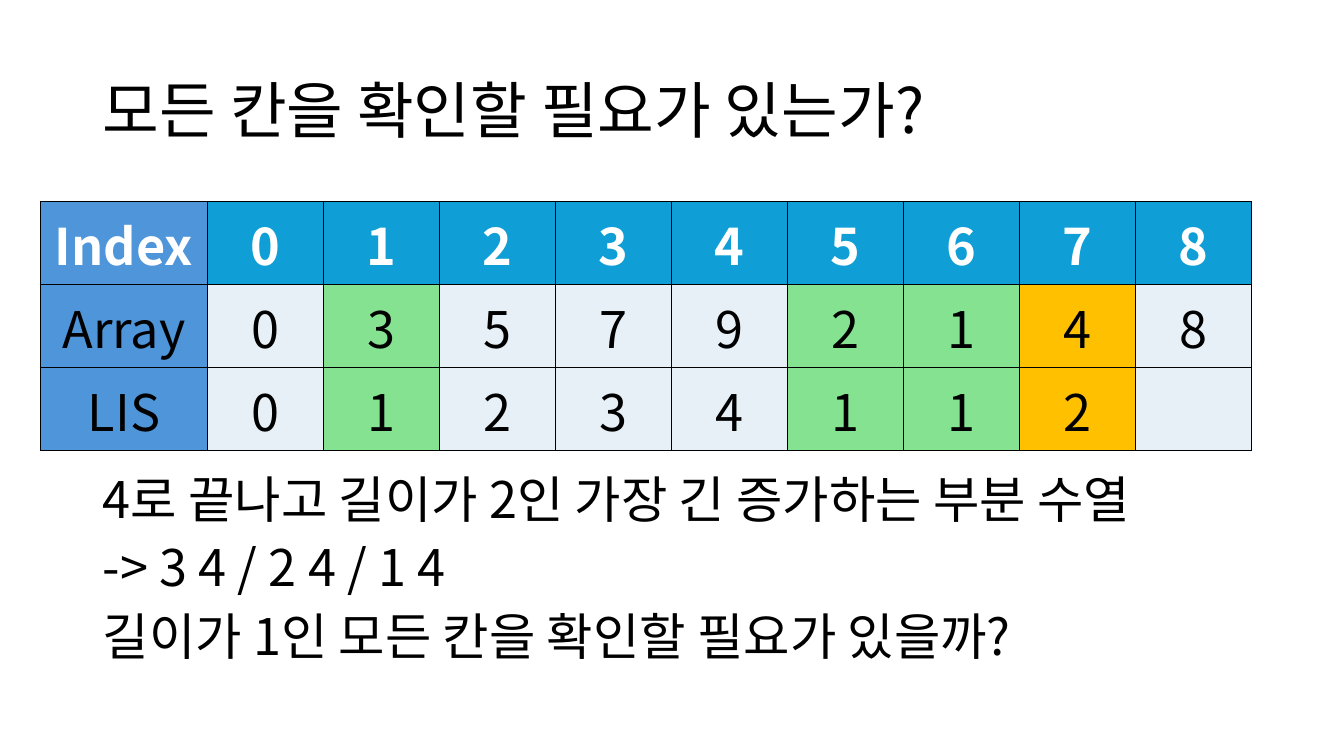
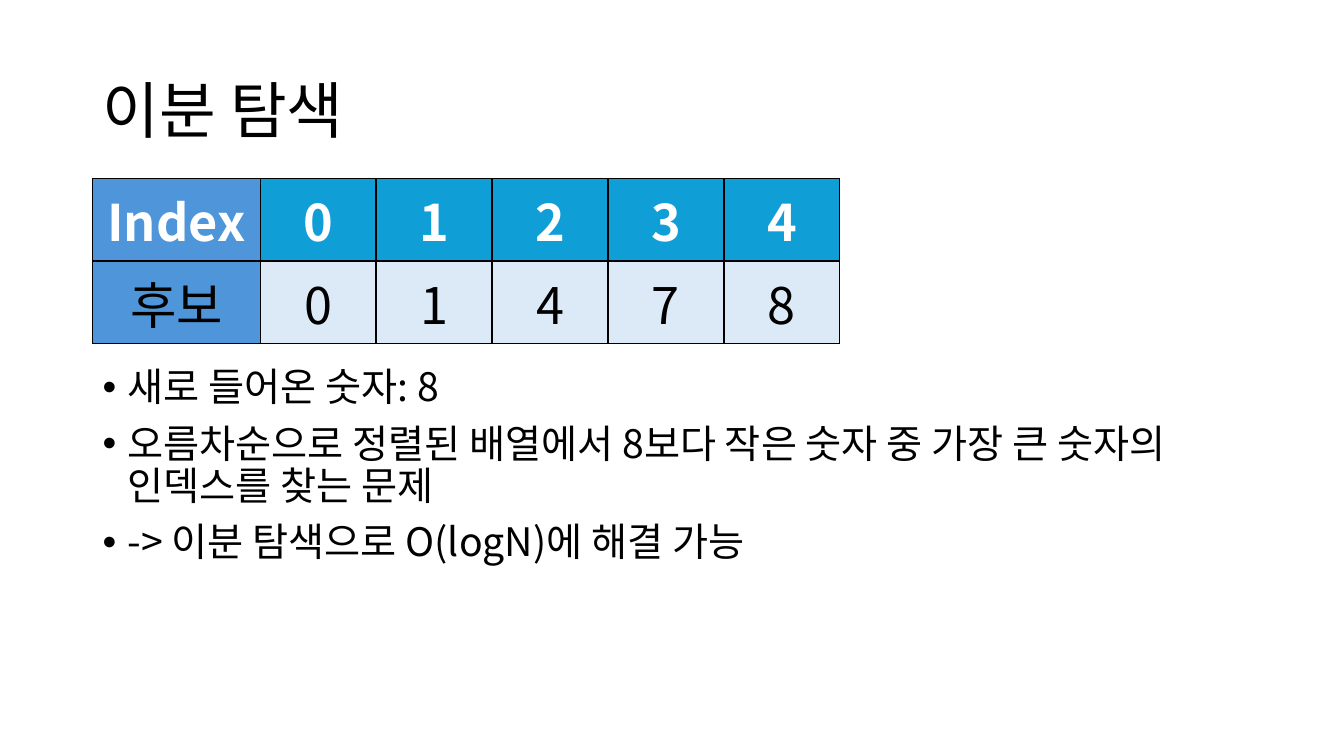
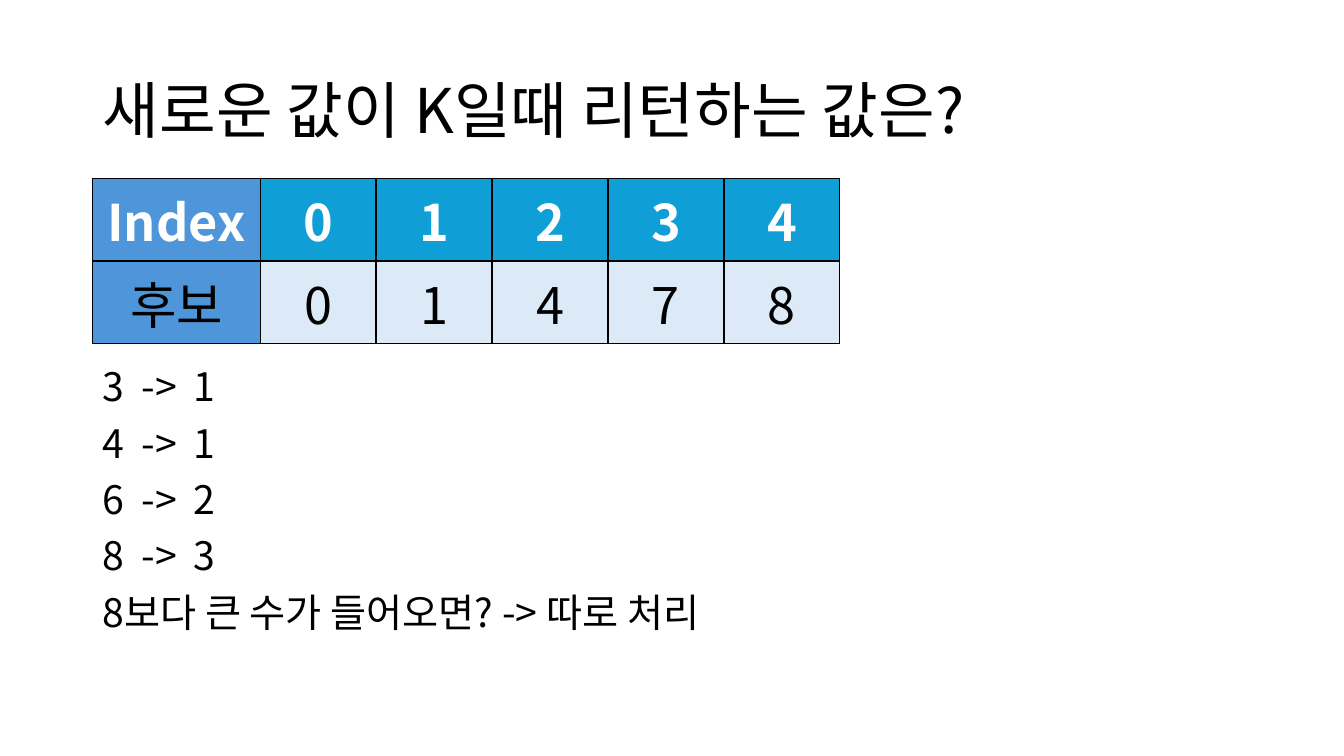
from dataclasses import dataclass

from lxml import etree
from pptx import Presentation
from pptx.dml.color import RGBColor
from pptx.enum.text import MSO_ANCHOR, MSO_AUTO_SIZE, PP_ALIGN
from pptx.oxml.ns import qn
from pptx.util import Inches, Pt

LEFT, CENTER = PP_ALIGN.LEFT, PP_ALIGN.CENTER
TOP, MIDDLE = MSO_ANCHOR.TOP, MSO_ANCHOR.MIDDLE
NO_AUTOFIT = MSO_AUTO_SIZE.NONE
TITLE_ONLY = 5


@dataclass(frozen=True)
class Theme:
    font: str = "Noto Sans CJK KR"
    black: str = "000000"
    white: str = "FFFFFF"
    label: str = "4E95D9"
    header: str = "0F9ED5"
    pale: str = "E7F0F7"
    candidate: str = "DCEAF7"
    green: str = "84E291"
    amber: str = "FFC000"
    title_size: int = 44
    large_size: int = 36
    body_size: int = 28
    line_spacing: float = 0.9
    space_before: int = 10
    border: float = 1
    margin: float = 0.92
    text_width: float = 11.5
    label_width: float = 1.66
    cell_width: float = 1.15
    row_height: float = 0.82


T = Theme()
RESULT_TABS = (0.39, 0.9)


def add_run(p, text, size, color=T.black, bold=False):
    r = p.add_run()
    r.text = text
    r.font.size = Pt(size)
    r.font.bold = bold
    r.font.name = T.font
    r.font.color.rgb = RGBColor.from_string(color)
    etree.SubElement(r._r.get_or_add_rPr(), qn("a:ea"), typeface=T.font)


def add_titled_slide(prs, title):
    s = prs.slides.add_slide(prs.slide_layouts[TITLE_ONLY])
    sp = s.shapes.title
    sp.left, sp.top = Inches(T.margin), Inches(0.4)
    sp.width, sp.height = Inches(T.text_width), Inches(1.45)
    tf = sp.text_frame
    tf.auto_size = NO_AUTOFIT
    tf.vertical_anchor = MIDDLE
    p = tf.paragraphs[0]
    p.alignment = LEFT
    p.line_spacing = T.line_spacing
    add_run(p, title, T.title_size)
    return s


def add_bullet(p):
    pPr = p._p.get_or_add_pPr()
    pPr.set("marL", str(Inches(0.25)))
    pPr.set("indent", str(-Inches(0.25)))
    etree.SubElement(pPr, qn("a:buFont"), typeface="Arial")
    etree.SubElement(pPr, qn("a:buChar"), char="•")


def add_tabs(p, stops):
    tab_list = etree.SubElement(p._p.get_or_add_pPr(), qn("a:tabLst"))
    for stop in stops:
        etree.SubElement(tab_list, qn("a:tab"), pos=str(Inches(stop)), algn="l")


def add_text(s, lines, top, width, height, size, bulleted=False):
    """Add a left-aligned box; lines with tabs use the result columns."""
    sp = s.shapes.add_textbox(Inches(T.margin), Inches(top), Inches(width), Inches(height))
    tf = sp.text_frame
    tf.word_wrap = True
    tf.vertical_anchor = TOP
    for i, line in enumerate(lines):
        p = tf.add_paragraph() if i else tf.paragraphs[0]
        if bulleted:
            add_bullet(p)
        if "\t" in line:
            add_tabs(p, RESULT_TABS)
        p.line_spacing = T.line_spacing
        if i:
            p.space_before = Pt(T.space_before)
        add_run(p, line, size)


def set_borders(cell):
    tcPr = cell._tc.get_or_add_tcPr()
    for i, side in enumerate(("lnL", "lnR", "lnT", "lnB")):
        ln = etree.Element(qn(f"a:{side}"), w=str(Pt(T.border)))
        fill = etree.SubElement(ln, qn("a:solidFill"))
        etree.SubElement(fill, qn("a:srgbClr"), val=T.black)
        tcPr.insert(i, ln)


def add_index_table(s, left, top, rows, fill, highlights=None):
    """Add a table under an index row; highlights maps a column to its body fill."""
    highlights = highlights or {}
    count = len(rows[0][1])
    rows = [("Index", range(count)), *rows]
    width = T.label_width + count * T.cell_width
    table = s.shapes.add_table(len(rows), count + 1, Inches(left), Inches(top),
                               Inches(width), Inches(len(rows) * T.row_height)).table
    table.first_row = table.horz_banding = False
    for col, column in enumerate(table.columns):
        column.width = Inches(T.cell_width if col else T.label_width)
    for row, (label, values) in enumerate(rows):
        table.rows[row].height = Inches(T.row_height)
        for col, value in enumerate((label, *values)):
            if col == 0:
                color = T.label
            elif row == 0:
                color = T.header
            else:
                color = highlights.get(col - 1, fill)
            cell = table.cell(row, col)
            cell.fill.solid()
            cell.fill.fore_color.rgb = RGBColor.from_string(color)
            cell.vertical_anchor = MIDDLE
            set_borders(cell)
            p = cell.text_frame.paragraphs[0]
            p.alignment = CENTER
            if value != "":
                add_run(p, str(value), T.large_size,
                        T.black if row else T.white, bold=row == 0)


def add_candidate_slide(prs, title, lines, bulleted=False):
    s = add_titled_slide(prs, title)
    add_text(s, lines, 3.6, T.text_width, 3.16, T.body_size, bulleted)
    add_index_table(s, T.margin, 1.77, [("후보", (0, 1, 4, 7, 8))], T.candidate)


def add_lis_slide(prs):
    s = add_titled_slide(prs, "모든 칸을 확인할 필요가 있는가?")
    rows = [("Array", (0, 3, 5, 7, 9, 2, 1, 4, 8)),
            ("LIS", (0, 1, 2, 3, 4, 1, 1, 2, ""))]
    highlights = {1: T.green, 5: T.green, 6: T.green, 7: T.amber}
    add_index_table(s, 0.4, 2, rows, T.pale, highlights)
    add_text(s, ["4로 끝나고 길이가 2인 가장 긴 증가하는 부분 수열",
                 "-> 3 4 / 2 4 / 1 4",
                 "길이가 1인 모든 칸을 확인할 필요가 있을까?"],
             4.66, 12.01, 2.19, T.large_size)


def main():
    prs = Presentation()
    prs.slide_width, prs.slide_height = Inches(13.33), Inches(7.5)
    add_lis_slide(prs)
    add_candidate_slide(prs, "이분 탐색", [
        "새로 들어온 숫자: 8",
        "오름차순으로 정렬된 배열에서 8보다 작은 숫자 중 가장 큰 숫자의 인덱스를 찾는 문제",
        "-> 이분 탐색으로 O(logN)에 해결 가능",
    ], bulleted=True)
    results = [(3, 1), (4, 1), (6, 2), (8, 3)]
    add_candidate_slide(prs, "새로운 값이 K일때 리턴하는 값은?", [
        *(f"{k}\t->\t{index}" for k, index in results),
        "8보다 큰 수가 들어오면? -> 따로 처리",
    ])
    prs.save("out.pptx")


if __name__ == "__main__":
    main()
